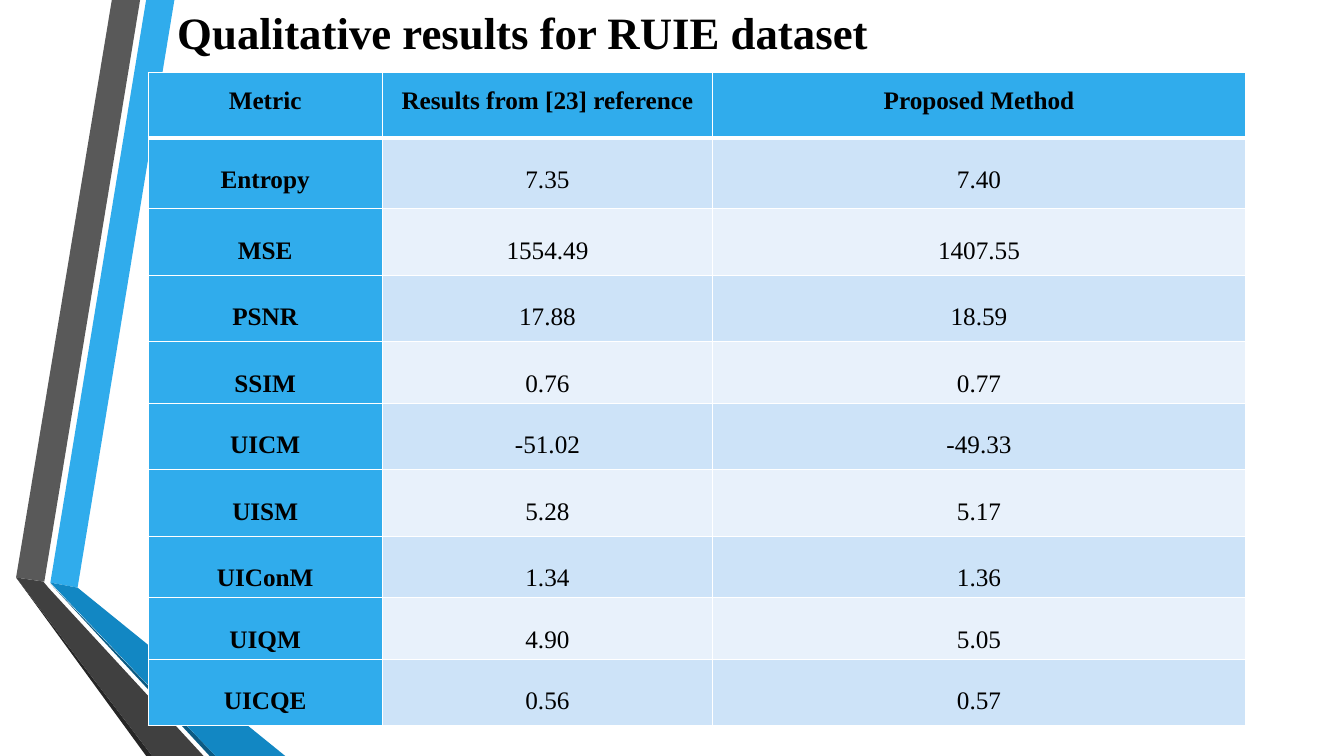
from lxml.etree import SubElement
from pptx import Presentation
from pptx.dml.color import RGBColor
from pptx.enum.text import PP_ALIGN
from pptx.oxml.ns import qn
from pptx.util import Pt

PX = 9144  # EMU per px, 100 px to the inch
FONT = "Times New Roman"
BLACK = RGBColor(0x00, 0x00, 0x00)
WHITE = RGBColor(0xFF, 0xFF, 0xFF)
BLUE = RGBColor(0x30, 0xAC, 0xEC)
MID_BLUE = RGBColor(0x12, 0x87, 0xC3)
DEEP_BLUE = RGBColor(0x0C, 0x5A, 0x82)
GRAY = RGBColor(0x59, 0x59, 0x59)
DARK_GRAY = RGBColor(0x40, 0x40, 0x40)
NEAR_BLACK = RGBColor(0x26, 0x26, 0x26)
BAND_DARK = RGBColor(0xCD, 0xE3, 0xF8)
BAND_LIGHT = RGBColor(0xE8, 0xF1, 0xFB)

# Ribbon faces, from back to front, as px offsets from the ribbon's corner
RIBBON_FACES = [
    (BLUE, [(34, 578), (61, 583), (157, 0), (129, 0)]),
    (GRAY, [(123, 0), (95, 0), (0, 573), (28, 577)]),
    (NEAR_BLACK, [(0, 573), (129, 750), (135, 750)]),
    (DEEP_BLUE, [(34, 579), (192, 750), (198, 750)]),
    (MID_BLUE, [(34, 578), (198, 750), (267, 750), (61, 583)]),
    (DARK_GRAY, [(186, 750), (32, 583), (27, 577), (0, 573), (135, 750)]),
]

COLUMN_WIDTHS = [232, 328, 528]
ROW_HEIGHTS = [65, 70, 66, 66, 61, 66, 66, 61, 61, 66]
RESULTS = [
    ("Metric", "Results from [23] reference", "Proposed Method"),
    ("Entropy", "7.35", "7.40"),
    ("MSE", "1554.49", "1407.55"),
    ("PSNR", "17.88", "18.59"),
    ("SSIM", "0.76", "0.77"),
    ("UICM", "-51.02", "-49.33"),
    ("UISM", "5.28", "5.17"),
    ("UIConM", "1.34", "1.36"),
    ("UIQM", "4.90", "5.05"),
    ("UICQE", "0.56", "0.57"),
]


def add_text(paragraph, text, size, bold):
    run = paragraph.add_run()
    run.text = text
    run.font.name = FONT
    run.font.size = Pt(size)
    run.font.bold = bold
    run.font.color.rgb = BLACK


def add_ribbon(slide, left, top):
    for color, points in RIBBON_FACES:
        corners = [(left + x, top + y) for x, y in points]
        builder = slide.shapes.build_freeform(*corners[0], scale=PX)
        builder.add_line_segments(corners[1:], close=True)
        face = builder.convert_to_shape()
        face.shadow.inherit = False
        face.fill.solid()
        face.fill.fore_color.rgb = color
        face.line.fill.background()


def add_title(slide, left, top, width, height):
    box = slide.shapes.add_textbox(left * PX, top * PX, width * PX, height * PX)
    box.text_frame.word_wrap = True
    add_text(box.text_frame.paragraphs[0], "Qualitative results for RUIE dataset", 32, True)


def set_borders(cell, widths):
    """Draw white borders; widths holds points for left, right, top, bottom."""
    properties = cell._tc.get_or_add_tcPr()
    for index, (side, width) in enumerate(zip("LRTB", widths)):
        line = properties.makeelement(qn(f"a:ln{side}"), {"w": str(Pt(width))})
        fill = SubElement(line, qn("a:solidFill"))
        SubElement(fill, qn("a:srgbClr"), val=str(WHITE))
        properties.insert(index, line)


def fill_cell(cell, text, row, column):
    is_header = row == 0
    is_label = is_header or column == 0
    cell.margin_left = cell.margin_right = 7 * PX
    cell.margin_top = cell.margin_bottom = 0
    cell.fill.solid()
    band = BAND_DARK if row % 2 else BAND_LIGHT
    cell.fill.fore_color.rgb = BLUE if is_label else band
    set_borders(cell, (1, 1, 3 if row == 1 else 1, 3 if is_header else 1))
    paragraph = cell.text_frame.paragraphs[0]
    paragraph.alignment = PP_ALIGN.CENTER
    paragraph.line_spacing = 1.5 if is_header else 2.0
    add_text(paragraph, text, 18, is_label)


def add_results_table(slide, left, top):
    frame = slide.shapes.add_table(
        len(ROW_HEIGHTS), len(COLUMN_WIDTHS), left * PX, top * PX,
        sum(COLUMN_WIDTHS) * PX, sum(ROW_HEIGHTS) * PX)
    table = frame.table
    for column, width in zip(table.columns, COLUMN_WIDTHS):
        column.width = width * PX
    for row, height in zip(table.rows, ROW_HEIGHTS):
        row.height = height * PX
    for row, values in enumerate(RESULTS):
        for column, text in enumerate(values):
            fill_cell(table.cell(row, column), text, row, column)


def main():
    presentation = Presentation()
    presentation.slide_width = 1333 * PX
    presentation.slide_height = 750 * PX
    slide = presentation.slides.add_slide(presentation.slide_layouts[6])
    add_ribbon(slide, 16, 0)
    add_title(slide, 166, 0, 784, 64)
    add_results_table(slide, 147, 72)
    presentation.save("out.pptx")


if __name__ == "__main__":
    main()
